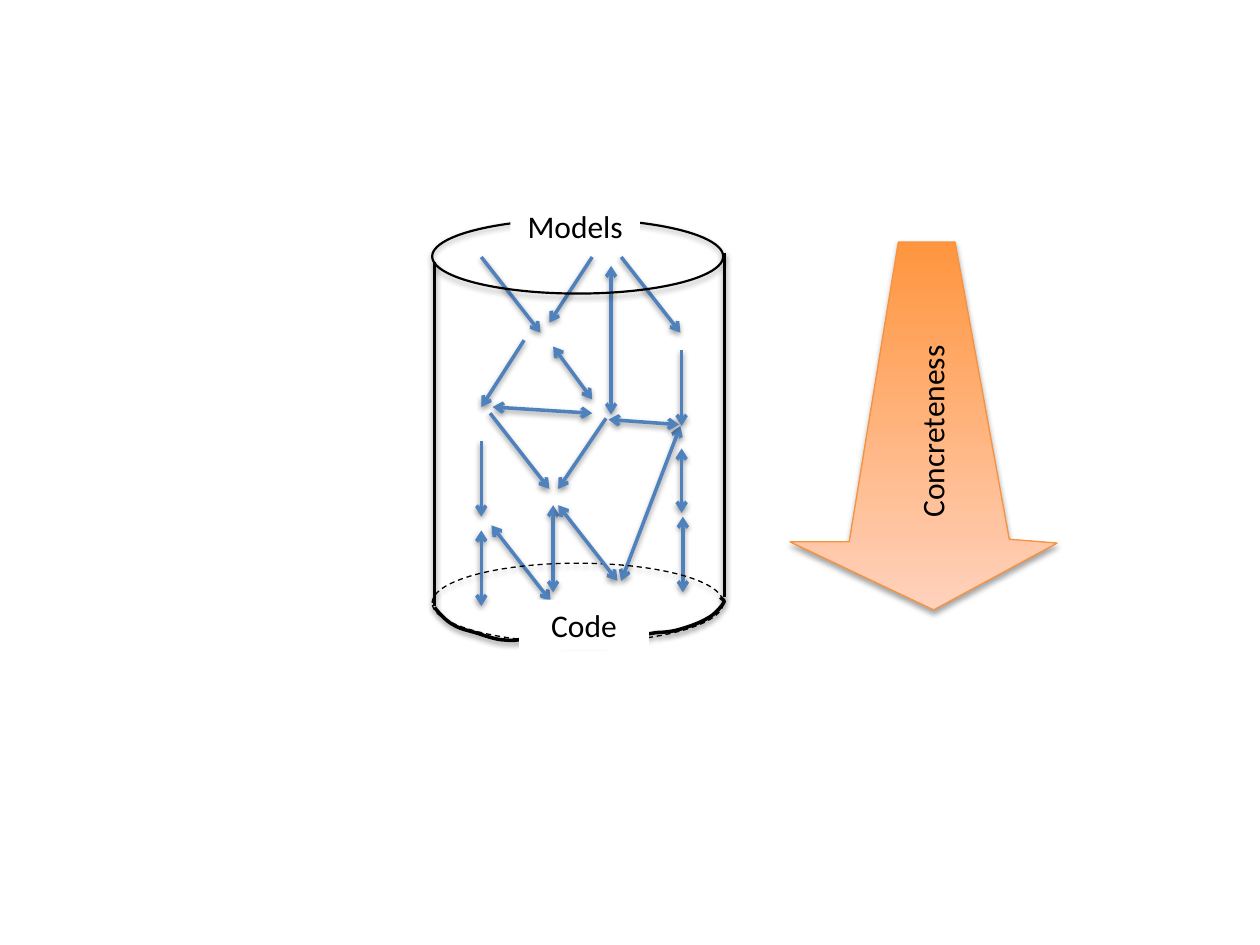
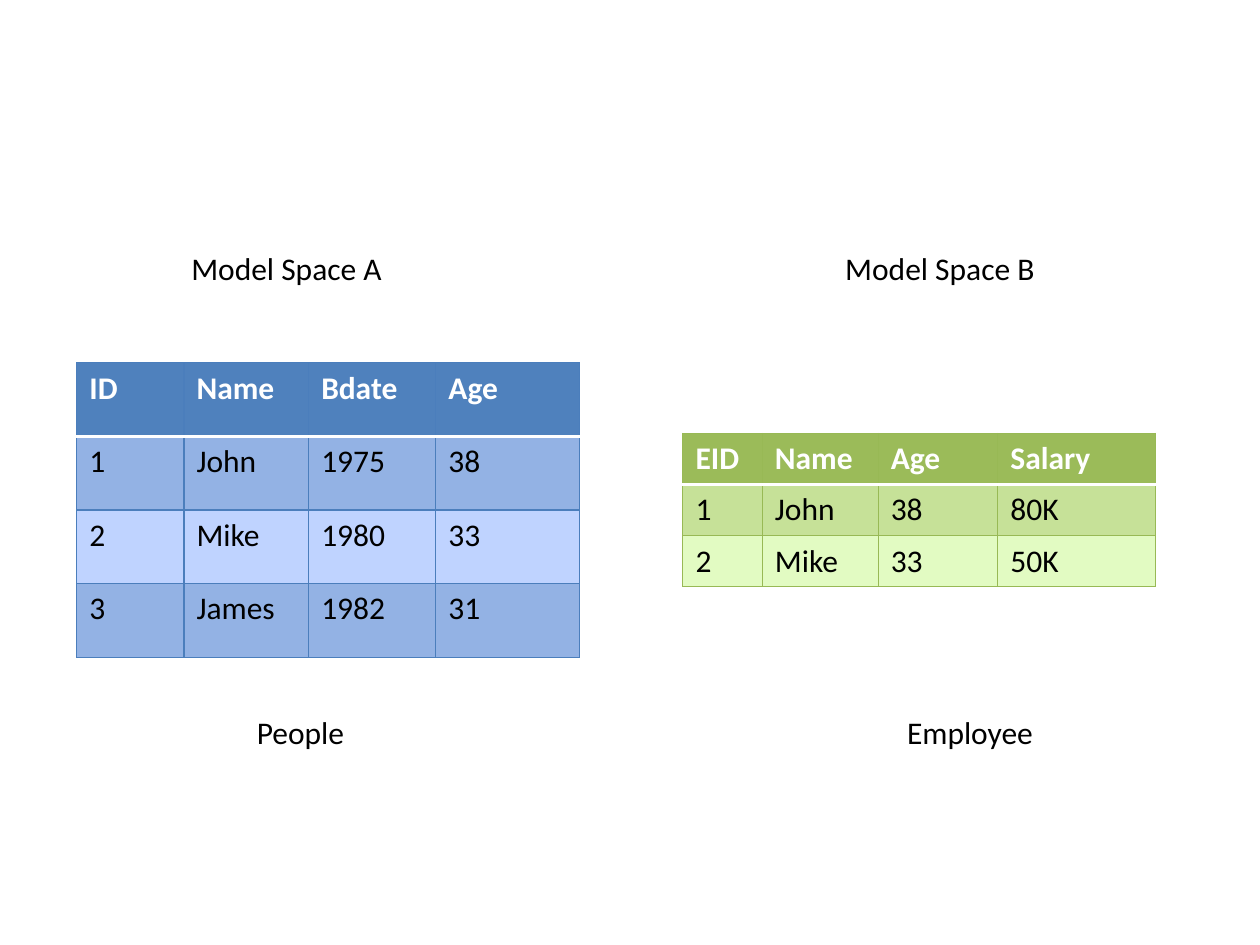
from dataclasses import dataclass
from typing import NamedTuple

from lxml.etree import SubElement
from pptx import Presentation
from pptx.dml.color import RGBColor
from pptx.enum.dml import MSO_LINE
from pptx.enum.shapes import MSO_CONNECTOR, MSO_SHAPE
from pptx.enum.text import MSO_ANCHOR, MSO_AUTO_SIZE, PP_ALIGN
from pptx.oxml import parse_xml
from pptx.oxml.ns import nsdecls, qn
from pptx.util import Inches, Pt

BLACK = RGBColor(0x00, 0x00, 0x00)
WHITE = RGBColor(0xFF, 0xFF, 0xFF)
BLUE = RGBColor(0x4F, 0x81, 0xBD)
BLUE_EDGE = RGBColor(0x4B, 0x7E, 0xBC)
BLUE_BAND = RGBColor(0x93, 0xB2, 0xE4)
BLUE_PALE = RGBColor(0xBF, 0xD3, 0xFF)
GREEN = RGBColor(0x9B, 0xBB, 0x59)
GREEN_EDGE = RGBColor(0x98, 0xB9, 0x55)
GREEN_BAND = RGBColor(0xC6, 0xE1, 0x98)
GREEN_PALE = RGBColor(0xE2, 0xFB, 0xC2)
ORANGE = RGBColor(0xFF, 0x95, 0x3E)
ORANGE_PALE = RGBColor(0xFF, 0xD2, 0xBD)
ORANGE_EDGE = RGBColor(0xF6, 0x92, 0x40)

TEXT_FORMAT = {"name": "Calibri", "size": Pt(18), "bold": False}
LABEL_HEIGHT = 4.0

prs = Presentation()
prs.slide_width, prs.slide_height = Inches(10), Inches(7.5)
COLUMN = prs.slide_width // 100
ROW = prs.slide_height // 75


class Box(NamedTuple):
    """An area in grid columns and rows."""
    left: float
    top: float
    width: float
    height: float = LABEL_HEIGHT

    def emu(self) -> tuple:
        """Return the area in slide units."""
        return (*place(self.left, self.top), *place(self.width, self.height))


@dataclass
class Link:
    """A straight line between two grid points, with optional arrowheads."""
    start: tuple
    end: tuple
    both: bool = False
    arrow: bool = True
    color: RGBColor = BLUE


@dataclass
class Palette:
    """The colours of one table."""
    head: RGBColor
    edge: RGBColor
    bands: tuple


@dataclass
class TableData:
    """A table's place, column widths, row height, words and colours."""
    left: float
    top: float
    columns: tuple
    row: float
    words: list
    palette: Palette


def place(x: float, y: float) -> tuple:
    """Turn grid columns and rows into slide units."""
    return round(x * COLUMN), round(y * ROW)


def write(tf, text: str, color: RGBColor = BLACK, **changes) -> None:
    """Put one formatted run into a text frame."""
    r = tf.paragraphs[0].add_run()
    r.text = text
    for key, value in {**TEXT_FORMAT, **changes}.items():
        setattr(r.font, key, value)
    r.font.color.rgb = color


def cast_shadow(sp, alpha: int = 38, distance: int = 20000) -> None:
    """Give a shape or connector a soft shadow below it."""
    sp_pr = sp._element.spPr
    for old in sp_pr.findall(qn("a:effectLst")):
        sp_pr.remove(old)
    sp_pr.append(parse_xml(
        f'<a:effectLst {nsdecls("a")}><a:outerShdw blurRad="40000" dist="{distance}" '
        f'dir="5400000" rotWithShape="0"><a:srgbClr val="{BLACK}">'
        f'<a:alpha val="{alpha * 1000}"/></a:srgbClr></a:outerShdw></a:effectLst>'))


def stroke(sp, color: RGBColor, width: float) -> None:
    """Set the colour and width of an outline."""
    sp.line.color.rgb = color
    sp.line.width = Pt(width)


def add_link(slide, link: Link) -> None:
    """Draw one line of the diagram."""
    sp = slide.shapes.add_connector(
        MSO_CONNECTOR.STRAIGHT, *place(*link.start), *place(*link.end))
    stroke(sp, link.color, 2)
    ln = sp.line._get_or_add_ln()
    if link.both:
        SubElement(ln, qn("a:headEnd"), type="arrow")
    if link.arrow:
        SubElement(ln, qn("a:tailEnd"), type="arrow")
    cast_shadow(sp)


def add_rim(slide, box: Box, width: float, dash=None) -> None:
    """Draw an end of the cylinder as an unfilled ellipse."""
    sp = slide.shapes.add_shape(MSO_SHAPE.OVAL, *box.emu())
    sp.fill.background()
    stroke(sp, BLACK, width)
    if dash:
        sp.line.dash_style = dash
    cast_shadow(sp, 35, 23000)


def add_plate(slide, box: Box, text: str) -> None:
    """Draw a white plate with a centred caption."""
    sp = slide.shapes.add_shape(MSO_SHAPE.RECTANGLE, *box.emu())
    sp.shadow.inherit = False
    sp.fill.solid()
    sp.fill.fore_color.rgb = WHITE
    sp.line.fill.background()
    tf = sp.text_frame
    tf.word_wrap = True
    tf.vertical_anchor = MSO_ANCHOR.TOP
    tf.paragraphs[0].alignment = PP_ALIGN.CENTER
    write(tf, text)


def add_label(slide, box: Box, text: str, rotation: float = 0) -> None:
    """Draw a line of text that does not wrap."""
    sp = slide.shapes.add_textbox(*box.emu())
    sp.rotation = rotation
    tf = sp.text_frame
    tf.word_wrap = False
    tf.auto_size = MSO_AUTO_SIZE.SHAPE_TO_FIT_TEXT
    write(tf, text)


def add_outline(slide, points: list, close: bool):
    """Draw a freeform through grid points."""
    start, *rest = [place(*pt) for pt in points]
    builder = slide.shapes.build_freeform(*start)
    builder.add_line_segments(rest, close=close)
    return builder.convert_to_shape()


def curve(start: tuple, segments: list, steps: int = 8) -> list:
    """Sample a chain of cubic curves, each given by two controls and an end."""
    points = [start]
    for x1, y1, x2, y2, x3, y3 in segments:
        x0, y0 = points[-1]
        for i in range(1, steps + 1):
            t = i / steps
            u = 1 - t
            points.append(tuple(
                u ** 3 * a + 3 * u * u * t * b + 3 * u * t * t * c + t ** 3 * d
                for a, b, c, d in ((x0, x1, x2, x3), (y0, y1, y2, y3))))
    return points


def set_border(cell, side: str, color: RGBColor, width: float, order: int) -> None:
    """Add one border line to a cell."""
    cell._tc.get_or_add_tcPr().insert(order, parse_xml(
        f'<a:ln{side} {nsdecls("a")} w="{Pt(width)}"><a:solidFill>'
        f'<a:srgbClr val="{color}"/></a:solidFill></a:ln{side}>'))


def add_data_table(slide, data: TableData) -> None:
    """Draw a table with a coloured header and banded rows."""
    count = len(data.words)
    box = Box(data.left, data.top, sum(data.columns), data.row * count)
    table = slide.shapes.add_table(count, len(data.columns), *box.emu()).table
    table.horz_banding = False
    for column, width in zip(table.columns, data.columns):
        column.width = round(width * COLUMN)
    for i, words in enumerate(data.words):
        table.rows[i].height = round(data.row * ROW)
        header = i == 0
        fill = data.palette.head if header else data.palette.bands[(i - 1) % 2]
        rules = {side: (data.palette.edge, 0.75) for side in "LRTB"}
        if i < 2:
            rules["B" if header else "T"] = (WHITE, 2)
        for cell, text in zip(table.rows[i].cells, words):
            cell.fill.solid()
            cell.fill.fore_color.rgb = fill
            for order, (side, (color, width)) in enumerate(rules.items()):
                set_border(cell, side, color, width, order)
            write(cell.text_frame, text, WHITE if header else BLACK, bold=header)


LINKS_BEHIND = [
    Link((38.2, 20.4), (42.9, 26.4)),
    Link((41.6, 27), (38.2, 32.3)),
    Link((38.2, 35), (38.2, 41)),
    Link((38.2, 42.1), (38.2, 48.1), both=True),
    Link((39, 41.7), (43.7, 47.7), both=True),
    Link((38.9, 32.8), (43.6, 38.8)),
    Link((43.9, 40.1), (43.9, 47), both=True),
    Link((43.9, 27.5), (47, 31.7), both=True),
    Link((49.3, 20.4), (54, 26.4)),
    Link((54.1, 27.8), (54.1, 33.8)),
    Link((48.5, 21.1), (48.5, 32.9), both=True),
    Link((54.1, 35.6), (54.1, 40.7), both=True),
    Link((47, 20.4), (43.6, 25.6)),
    Link((48.1, 33.2), (44.3, 38.8)),
    Link((54.2, 41), (54.2, 47), both=True),
    Link((54, 33.8), (49.3, 46.1), both=True),
]
WALLS = [
    Link((57.5, 20.1), (57.5, 47.4), arrow=False, color=BLACK),
    Link((34.5, 20.8), (34.5, 48.1), arrow=False, color=BLACK),
]
LINKS_IN_FRONT = [
    Link((44.3, 40.1), (49, 46.1), both=True),
    Link((39.1, 32.3), (47, 32.8), both=True),
    Link((48.3, 33.3), (53.9, 33.7), both=True),
]
FRONT_EDGE = curve((34.5, 48.2), [
    (34.7, 48.5, 35.4, 49.3, 36, 49.6),
    (36.5, 49.9, 37, 50, 37.7, 50.2),
    (38.4, 50.4, 39.3, 50.8, 40.2, 50.8),
    (40.9, 50.9, 41.3, 50.7, 41.9, 50.7),
    (42.5, 50.7, 43.7, 50.6, 43.7, 50.6),
    (44.2, 50.5, 44.5, 50.8, 45.1, 50.9),
    (45.7, 50.9, 46.6, 50.9, 47.3, 50.9),
    (49, 50.8, 49.4, 50.4, 51.1, 50.4),
    (51.4, 50.3, 51.6, 50.3, 52.1, 50.2),
    (52.7, 50.2, 53.5, 50.1, 54.1, 49.9),
    (54.8, 49.7, 55.6, 49.4, 56.1, 49.1),
    (56.7, 48.8, 57.2, 48.2, 57.4, 47.9),
    (57.6, 47.6, 57.3, 47.6, 57.2, 47.4),
])
DOWN_ARROW = [(75.8, 19.2), (71.3, 19.2), (67.4, 43), (62.7, 43),
              (74.1, 48.4), (83.9, 43.1), (80.1, 42.8)]

PEOPLE = TableData(
    6.1, 28.8, (8.5, 9.9, 10.1, 11.4), 5.84,
    [("ID", "Name", "Bdate", "Age"), ("1", "John", "1975", "38"),
     ("2", "Mike", "1980", "33"), ("3", "James", "1982", "31")],
    Palette(BLUE, BLUE_EDGE, (BLUE_BAND, BLUE_PALE)))
EMPLOYEE = TableData(
    54.2, 34.4, (6.3, 9.2, 9.5, 12.5), 4.06,
    [("EID", "Name", "Age", "Salary"), ("1", "John", "38", "80K"),
     ("2", "Mike", "33", "50K")],
    Palette(GREEN, GREEN_EDGE, (GREEN_BAND, GREEN_PALE)))
CAPTIONS = [
    (Box(14.2, 19.3, 17.3), "Model Space A"),
    (Box(66.1, 19.3, 17.2), "Model Space B"),
    (Box(19.4, 56.1, 9.1), "People"),
    (Box(71, 56.1, 12.2), "Employee"),
]


def build_cylinder(slide) -> None:
    """Draw the models-to-code cylinder and the concreteness arrow."""
    for link in LINKS_BEHIND:
        add_link(slide, link)
    add_rim(slide, Box(34.3, 17.4, 23.1, 5.9), 1.25)
    add_rim(slide, Box(34.3, 44.7, 23.1, 6.3), 0.75, MSO_LINE.DASH)
    edge = add_outline(slide, FRONT_EDGE, close=False)
    edge.fill.background()
    stroke(edge, BLACK, 2)
    cast_shadow(edge)
    for wall in WALLS:
        add_link(slide, wall)
    add_plate(slide, Box(40.5, 15.9, 10.3), "Models")
    add_plate(slide, Box(41.2, 47.6, 10.3), "Code")
    for link in LINKS_IN_FRONT:
        add_link(slide, link)
    arrow = add_outline(slide, DOWN_ARROW, close=True)
    arrow.fill.gradient()
    arrow.fill.gradient_angle = 270
    for stop, color in zip(arrow.fill.gradient_stops, (ORANGE, ORANGE_PALE)):
        stop.color.rgb = color
    stroke(arrow, ORANGE_EDGE, 0.75)
    cast_shadow(arrow, 35, 23000)
    add_label(slide, Box(66, 32.1, 15.9), "Concreteness", 270)


def build_tables(slide) -> None:
    """Draw the two model spaces with their tables."""
    for data in (PEOPLE, EMPLOYEE):
        add_data_table(slide, data)
    for box, text in CAPTIONS:
        add_label(slide, box, text)


for build in (build_cylinder, build_tables):
    build(prs.slides.add_slide(prs.slide_layouts[6]))
prs.save("out.pptx")
